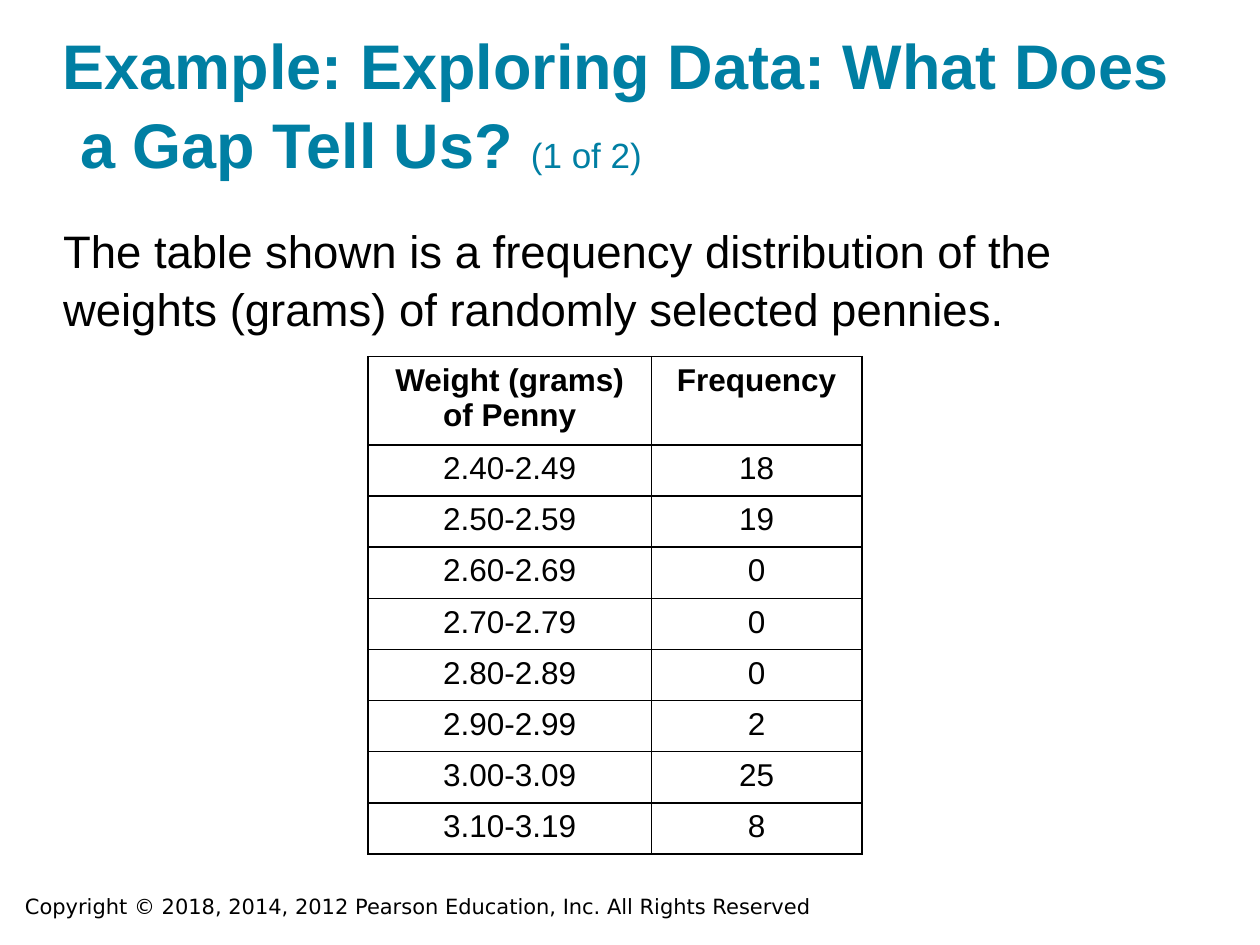
import pptx
import pptx.util
import pptx.dml.color
import pptx.enum.text
import pptx.oxml
import pptx.oxml.ns

WIDE, HIGH = 10, 7.5
LEFT = WIDE / 20
COLORS = {"title": "007FA3", "text": "000000", "line": "000000"}
FONT = "Arial"
HEADS = ("Weight (grams) of Penny", "Frequency")
COUNTS = (18, 19, 0, 0, 0, 2, 25, 8)


def style(run, size, color="text", bold=False, font=FONT):
    run.font.name = font
    run.font.size = pptx.util.Pt(size)
    run.font.bold = bold
    run.font.color.rgb = pptx.dml.color.RGBColor.from_string(COLORS[color])


def add_text(slide, place, text, inset=True):
    box = slide.shapes.add_textbox(*map(pptx.util.Inches, place))
    frame = box.text_frame
    frame.word_wrap = True
    if not inset:
        frame.margin_left = frame.margin_right = 0
        frame.margin_top = frame.margin_bottom = 0
    frame.text = text
    return frame


def add_title(slide):
    frame = add_text(slide, (LEFT, 0.24, WIDE - 2 * LEFT, 1.2),
                     "Example: Exploring Data: What Does\v a Gap Tell Us? ", False)
    frame.vertical_anchor = pptx.enum.text.MSO_ANCHOR.BOTTOM
    para = frame.paragraphs[0]
    para.line_spacing = 1.05
    for run in para.runs:
        style(run, 36, "title", True)
    part = para.add_run()
    part.text = "(1 of 2)"
    style(part, 20, "title")


def add_body(slide):
    frame = add_text(slide, (LEFT, 1.75, 8.08, 0.92),
                     "The table shown is a frequency distribution of the "
                     "weights (grams) of randomly selected pennies.", False)
    para = frame.paragraphs[0]
    para.line_spacing = 1.05
    para.space_after = pptx.util.Pt(6)
    style(para.runs[0], 26)


def add_foot(slide):
    frame = add_text(slide, (0.1, 7.04, 7.83, 0.3),
                     "Copyright © 2018, 2014, 2012 Pearson Education, Inc. "
                     "All Rights Reserved")
    style(frame.paragraphs[0].runs[0], 12, font="DejaVu Sans")


def set_edges(cell):
    """Draw a one-point line on all four sides of a cell."""
    props = cell._tc.get_or_add_tcPr()
    for index, side in enumerate(("lnL", "lnR", "lnT", "lnB")):
        props.insert(index, pptx.oxml.parse_xml(
            f'<a:{side} {pptx.oxml.ns.nsdecls("a")} w="12700"><a:solidFill>'
            f'<a:srgbClr val="{COLORS["line"]}"/></a:solidFill></a:{side}>'))


def fill_cell(cell, text, bold):
    cell.text = text
    cell.fill.background()
    set_edges(cell)
    para = cell.text_frame.paragraphs[0]
    para.alignment = pptx.enum.text.PP_ALIGN.CENTER
    style(para.runs[0], 18, bold=bold)


def add_grid(slide):
    rows = [HEADS]
    for step, count in enumerate(COUNTS):
        low = 2.4 + step / 10
        rows.append((f"{low:.2f}-{low + 0.09:.2f}", str(count)))
    cols, head, tall = (2.25, 1.67), 0.67, 3.92
    place = map(pptx.util.Inches, (2.92, 2.83, sum(cols), tall))
    table = slide.shapes.add_table(len(rows), len(cols), *place).table
    table.horz_banding = False
    for col, width in zip(table.columns, cols):
        col.width = pptx.util.Inches(width)
    for index, (row, texts) in enumerate(zip(table.rows, rows)):
        height = (tall - head) / len(COUNTS) if index else head
        row.height = pptx.util.Inches(height)
        for cell, text in zip(row.cells, texts):
            fill_cell(cell, text, index == 0)


def main():
    deck = pptx.Presentation()
    deck.slide_width = pptx.util.Inches(WIDE)
    deck.slide_height = pptx.util.Inches(HIGH)
    slide = deck.slides.add_slide(deck.slide_layouts[6])
    add_foot(slide)
    add_title(slide)
    add_body(slide)
    add_grid(slide)
    deck.save("out.pptx")


if __name__ == "__main__":
    main()
